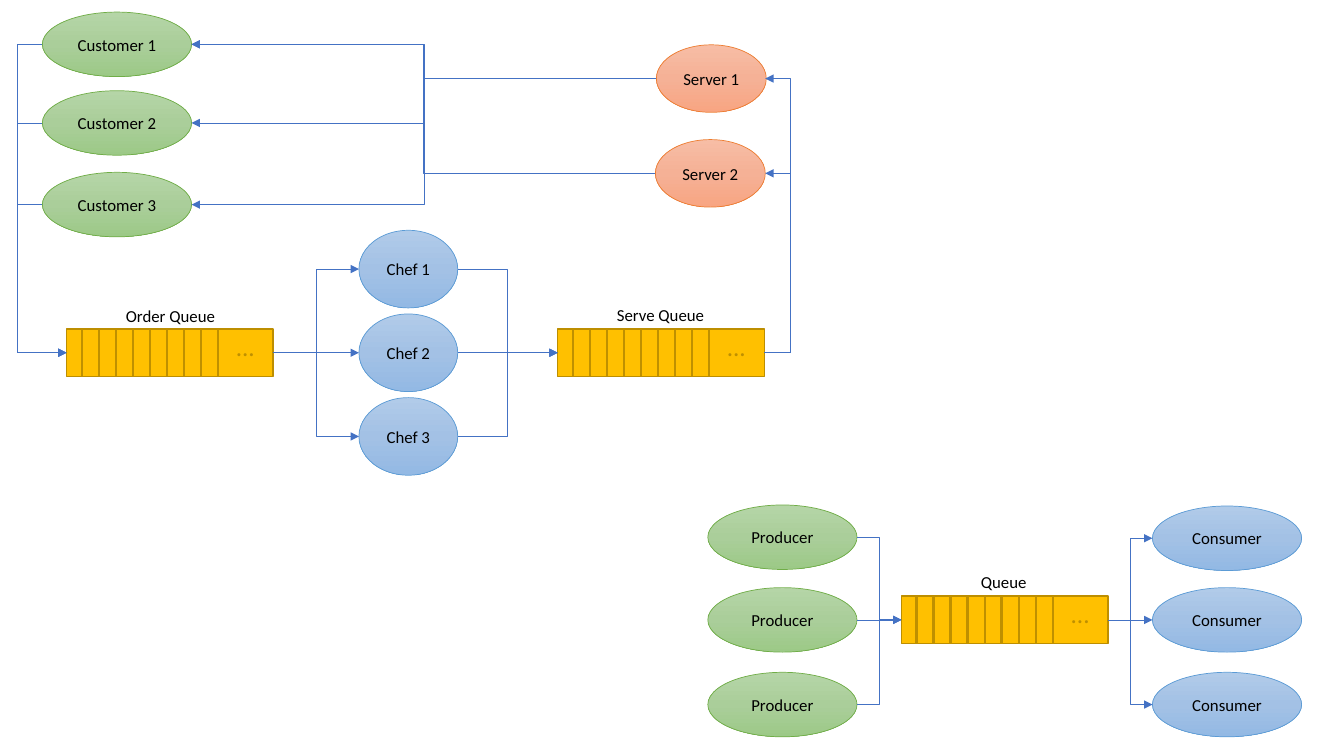
from copy import deepcopy
from typing import NamedTuple, Optional

from lxml import etree
from pptx import Presentation
from pptx.dml.color import RGBColor
from pptx.enum.shapes import MSO_CONNECTOR, MSO_SHAPE
from pptx.enum.text import MSO_ANCHOR, MSO_AUTO_SIZE, PP_ALIGN
from pptx.oxml.ns import qn
from pptx.util import Inches, Pt

ELLIPSE, RECTANGLE = MSO_SHAPE.OVAL, MSO_SHAPE.RECTANGLE
STRAIGHT, ELBOW = MSO_CONNECTOR.STRAIGHT, MSO_CONNECTOR.ELBOW
MIDDLE, CENTER, LEFT = MSO_ANCHOR.MIDDLE, PP_ALIGN.CENTER, PP_ALIGN.LEFT
FIT_SHAPE = MSO_AUTO_SIZE.SHAPE_TO_FIT_TEXT

BLACK = RGBColor(0x00, 0x00, 0x00)
ROUTE_BLUE = RGBColor(0x44, 0x72, 0xC4)
QUEUE_FILL = RGBColor(0xFF, 0xC0, 0x00)
QUEUE_EDGE = RGBColor(0xBD, 0x8E, 0x00)
DIVIDER = RGBColor(0xBF, 0x90, 0x00)

QUEUE_W, QUEUE_H = 2.05, 0.47
DIVIDERS = 9
ELLIPSE_LEFT_SITE = 2


class Palette(NamedTuple):
    stops: tuple[RGBColor, RGBColor, RGBColor]
    edge: RGBColor


class Node(NamedTuple):
    text: str
    x: float
    mid_y: float
    w: float
    h: float
    palette: Palette

    @property
    def left(self) -> tuple[float, float]:
        return self.x, self.mid_y

    @property
    def right(self) -> tuple[float, float]:
        return self.x + self.w, self.mid_y


class Queue(NamedTuple):
    text: str
    x: float
    mid_y: float
    label_x: float
    label_y: float
    label_w: float

    @property
    def left(self) -> tuple[float, float]:
        return self.x, self.mid_y

    @property
    def right(self) -> tuple[float, float]:
        return self.x + QUEUE_W, self.mid_y


class Route(NamedTuple):
    start: tuple[float, float]
    end: tuple[float, float]
    via_x: Optional[float] = None


GREEN = Palette((RGBColor(0xB5, 0xD5, 0xA7), RGBColor(0xAA, 0xCE, 0x9A),
                 RGBColor(0x9C, 0xC9, 0x87)), RGBColor(0x70, 0xAD, 0x47))
BLUE = Palette((RGBColor(0xB1, 0xCB, 0xE9), RGBColor(0xA3, 0xC1, 0xE5),
                RGBColor(0x93, 0xB9, 0xE4)), RGBColor(0x5B, 0x9B, 0xD5))
ORANGE = Palette((RGBColor(0xF7, 0xBD, 0xA5), RGBColor(0xF5, 0xB1, 0x96),
                  RGBColor(0xF8, 0xA5, 0x82)), RGBColor(0xED, 0x7D, 0x31))

CUSTOMERS = [Node(f"Customer {i}", 0.42, y, 1.48, 0.64, GREEN)
             for i, y in enumerate((0.44, 1.22, 2.03), 1)]
CHEFS = [Node(f"Chef {i}", 3.56, 2.67 + 0.83 * (i - 1), 0.98, 0.77, BLUE)
         for i in range(1, 4)]
SERVERS = [Node("Server 1", 6.51, 0.78, 1.09, 0.67, ORANGE),
           Node("Server 2", 6.5, 1.72, 1.09, 0.67, ORANGE)]
PRODUCERS = [Node("Producer", 7.02, y, 1.48, 0.64, GREEN) for y in (5.33, 6.15, 6.99)]
CONSUMERS = [Node("Consumer", 11.43, y, 1.48, 0.64, BLUE) for y in (5.34, 6.15, 6.99)]

ORDER_QUEUE = Queue("Order Queue", 0.66, 3.5, 1.15, 2.98, 1.1)
SERVE_QUEUE = Queue("Serve Queue", 5.53, 3.5, 6.02, 2.97, 1.08)
SHARED_QUEUE = Queue("Queue", 8.94, 6.15, 9.63, 5.62, 0.66)

ROUTES = [
    *(Route(c.left, ORDER_QUEUE.left, 0.17) for c in CUSTOMERS),
    *(Route(ORDER_QUEUE.right, c.left) for c in CHEFS),
    *(Route(SERVERS[0].left, c.right) for c in CUSTOMERS),
    Route(SERVERS[1].left, CUSTOMERS[0].right),
    *(Route(c.right, SERVE_QUEUE.left) for c in CHEFS),
    *(Route(SERVE_QUEUE.right, (7.59, s.mid_y), 7.84) for s in SERVERS),
    *(Route(p.right, SHARED_QUEUE.left) for p in PRODUCERS),
    *(Route(SHARED_QUEUE.right, c.left) for c in (CONSUMERS[0], CONSUMERS[2])),
]


def set_text(sp, text: str, size: int, color: RGBColor, align) -> None:
    p = sp.text_frame.paragraphs[0]
    p.alignment = align
    r = p.add_run()
    r.text = text
    for name, value in {"name": "Calibri", "size": Pt(size)}.items():
        setattr(r.font, name, value)
    r.font.color.rgb = color


def add_label(shapes, text: str, x: float, y: float, w: float, h: float,
              size: int, color: RGBColor) -> None:
    sp = shapes.add_textbox(*map(Inches, (x, y, w, h)))
    for name, value in {"word_wrap": False, "auto_size": FIT_SHAPE}.items():
        setattr(sp.text_frame, name, value)
    set_text(sp, text, size, color, LEFT)


def add_node(shapes, node: Node):
    sp = shapes.add_shape(ELLIPSE, *map(Inches, (
        node.x, node.mid_y - node.h / 2, node.w, node.h)))
    sp.shadow.inherit = False
    sp.fill.gradient()
    sp.fill.gradient_angle = 270
    stop_list = sp._element.spPr.find(".//" + qn("a:gsLst"))
    stop_list.append(deepcopy(stop_list[0]))
    for i, (stop, color) in enumerate(zip(sp.fill.gradient_stops, node.palette.stops)):
        stop.position = i / 2
        stop.color.rgb = color
    sp.line.color.rgb = node.palette.edge
    sp.line.width = Pt(0.5)
    sp.text_frame.vertical_anchor = MIDDLE
    set_text(sp, node.text, 12, BLACK, CENTER)
    return sp


def add_line(shapes, kind, start: tuple[float, float], end: tuple[float, float],
             color: RGBColor, width: float, arrow: bool = False):
    cxn = shapes.add_connector(kind, *map(Inches, (*start, *end)))
    cxn.line.color.rgb = color
    cxn.line.width = Pt(width)
    sp_pr = cxn._element.spPr
    if arrow:
        etree.SubElement(sp_pr.find(qn("a:ln")), qn("a:tailEnd"), type="triangle")
    etree.SubElement(sp_pr, qn("a:effectLst"))
    return cxn


def add_route(shapes, route: Route) -> None:
    cxn = add_line(shapes, ELBOW, route.start, route.end, ROUTE_BLUE, 0.5, True)
    if route.via_x is not None:
        x1, x2 = route.start[0], route.end[0]
        bend = round((route.via_x - x1) / (x2 - x1) * 100000)
        guides = cxn._element.spPr.find(".//" + qn("a:avLst"))
        etree.SubElement(guides, qn("a:gd"), name="adj1", fmla=f"val {bend}")


def add_queue(shapes, queue: Queue):
    group = shapes.add_group_shape().shapes
    top = queue.mid_y - QUEUE_H / 2
    sp = group.add_shape(RECTANGLE, *map(Inches, (queue.x, top, QUEUE_W, QUEUE_H)))
    sp.shadow.inherit = False
    sp.fill.solid()
    sp.fill.fore_color.rgb = QUEUE_FILL
    sp.line.color.rgb = QUEUE_EDGE
    sp.line.width = Pt(1)
    for i in range(DIVIDERS):
        x = queue.x + 0.15 + 1.35 * i / (DIVIDERS - 1)
        add_line(group, STRAIGHT, (x, top + QUEUE_H), (x, top), DIVIDER, 1.5)
    add_label(group, "...", queue.x + 1.58, top - 0.03, 0.39, 0.4, 18, DIVIDER)
    add_label(shapes, queue.text, queue.label_x, queue.label_y, queue.label_w, 0.3,
              12, BLACK)
    return sp


def main() -> None:
    prs = Presentation()
    prs.slide_width, prs.slide_height = Inches(13.33), Inches(7.5)
    shapes = prs.slides.add_slide(prs.slide_layouts[6]).shapes

    for node in CUSTOMERS + CHEFS + SERVERS + PRODUCERS:
        add_node(shapes, node)
    consumers = [add_node(shapes, node) for node in CONSUMERS]
    for queue in (ORDER_QUEUE, SERVE_QUEUE):
        add_queue(shapes, queue)
    shared = add_queue(shapes, SHARED_QUEUE)

    for route in ROUTES:
        add_route(shapes, route)
    cxn = add_line(shapes, STRAIGHT, SHARED_QUEUE.right, CONSUMERS[1].left,
                   ROUTE_BLUE, 0.5, True)
    cxn.begin_connect(shared, 3)
    cxn.end_connect(consumers[1], ELLIPSE_LEFT_SITE)
    cxn.end_x, cxn.end_y = map(Inches, CONSUMERS[1].left)

    prs.save("out.pptx")


if __name__ == "__main__":
    main()
